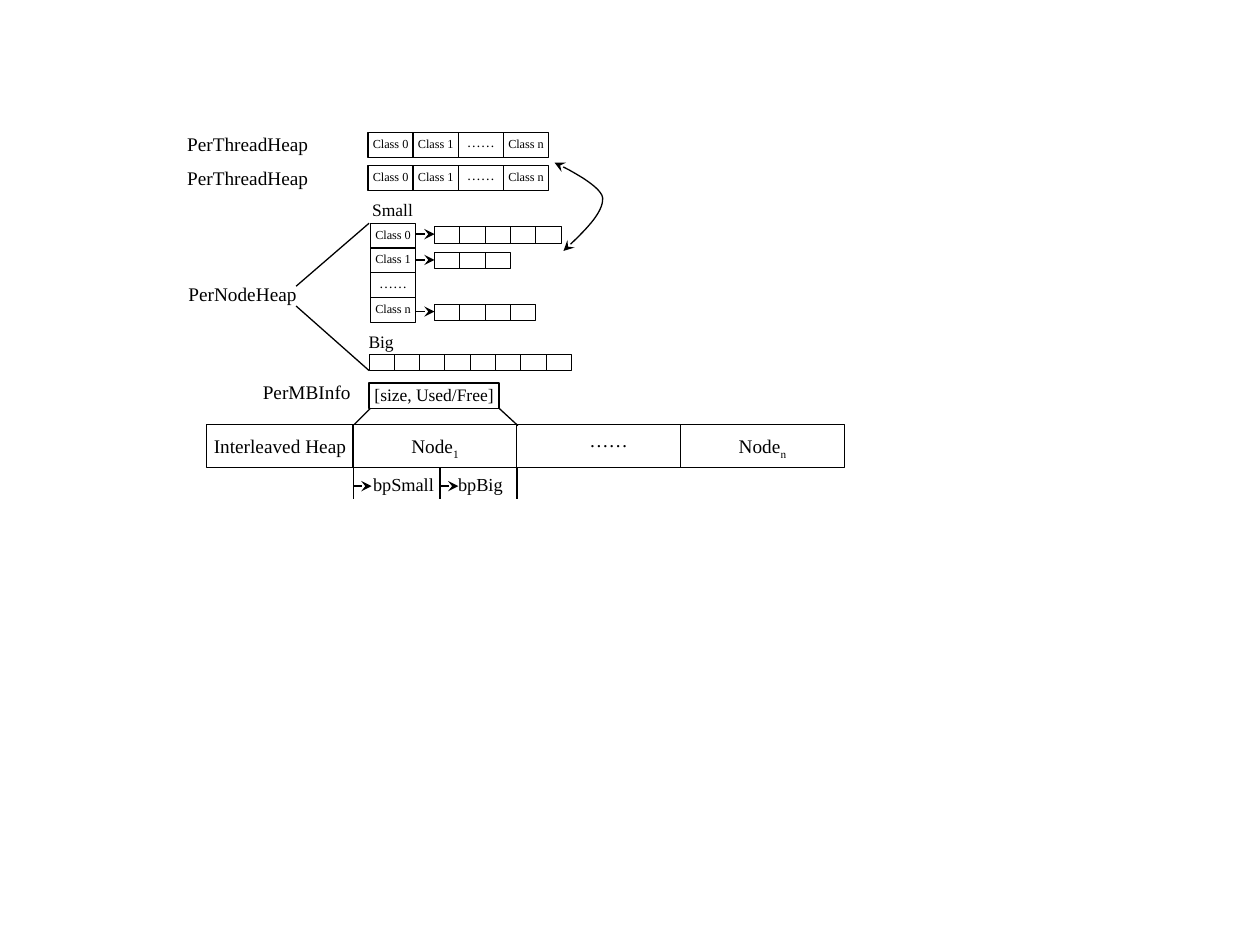
import pptx
import pptx.dml.color
import pptx.enum.shapes
import pptx.enum.text
import pptx.oxml
import pptx.oxml.ns
import pptx.util

Cm = pptx.util.Cm
BLACK, WHITE = "000000", "FFFFFF"
CLASSES = ["Class 0", "Class 1", "……", "Class n"]
BLOCK_WIDTH = 0.51


def paint(target, colour):
    """Give a font, line or fill a solid colour from a hex string."""
    fill = target if hasattr(target, "solid") else target.fill
    fill.solid()
    fill.fore_color.rgb = pptx.dml.color.RGBColor.from_string(colour)


def outline(shape, width=0.75, ends=()):
    """Draw a black line on a shape, with stealth arrowheads at the ends named."""
    paint(shape.line, BLACK)
    shape.line.width = pptx.util.Pt(width)
    stroke = shape._element.spPr.find(pptx.oxml.ns.qn("a:ln"))
    for end in ends:
        namespace = pptx.oxml.ns.nsdecls("a")
        stroke.append(pptx.oxml.parse_xml(f'<a:{end} {namespace} type="stealth"/>'))


def frame(page, left, top, width, height, weight=0.75):
    """Add an unfilled rectangle."""
    box = page.shapes.add_shape(
        pptx.enum.shapes.MSO_SHAPE.RECTANGLE, Cm(left), Cm(top), Cm(width), Cm(height))
    box.shadow.inherit = False
    box.fill.background()
    outline(box, weight)


def line(page, start, end, ends=()):
    """Add a straight line between two points."""
    connector = page.shapes.add_connector(
        pptx.enum.shapes.MSO_CONNECTOR.STRAIGHT, *(Cm(v) for v in (*start, *end)))
    outline(connector, ends=ends)
    connector._element.spPr.append(
        pptx.oxml.parse_xml(f'<a:effectLst {pptx.oxml.ns.nsdecls("a")}/>'))


def label(page, left, top, width, height, text, size, subscript="", backed=False):
    """Add centred text, with an optional subscript and white backing."""
    box = page.shapes.add_textbox(Cm(left), Cm(top), Cm(width), Cm(height))
    if backed:
        paint(box.fill, WHITE)
        paint(box.line, WHITE)
    body = box.text_frame
    body.word_wrap = True
    body.auto_size = pptx.enum.text.MSO_AUTO_SIZE.SHAPE_TO_FIT_TEXT
    body.margin_left = body.margin_right = 0
    para = body.paragraphs[0]
    para.alignment = pptx.enum.text.PP_ALIGN.CENTER
    for words, baseline in ((text, 0), (subscript, -25000)):
        if words:
            span = para.add_run()
            span.text = words
            span.font.name = "Times New Roman"
            span.font.size = pptx.util.Pt(size)
            paint(span.font, BLACK)
            if baseline:
                span._r.get_or_add_rPr().set("baseline", str(baseline))


def class_cells(page, left, top, step_x, step_y):
    """Draw the size class cells in a row or a column."""
    for index, name in enumerate(CLASSES):
        x, y = left + index * step_x, top + index * step_y
        dots = name == "……"
        frame(page, x, y, 0.91, 0.5)
        label(page, x - 0.03, y - (0.1 if dots else 0.05), 0.97, 0.56, name, 8 if dots else 7)


def blocks(page, left, top, count):
    """Draw a run of adjoining memory blocks."""
    for index in range(count):
        frame(page, left + index * BLOCK_WIDTH, top, BLOCK_WIDTH, 0.33, 0.5)


def thread_heap(page, left, top):
    """Draw one thread heap: its name and its row of classes."""
    label(page, left, top - 0.12, 2.67, 0.74, "PerThreadHeap", 11, backed=True)
    class_cells(page, left + 3.76, top, 0.91, 0)


def node_heap(page, left, top):
    """Draw the node heap: name, small class lists and big blocks."""
    lists = left + 3.71
    label(page, left, top + 1.06, 2.26, 0.74, "PerNodeHeap", 11, backed=True)
    for corner, inner in ((0, 1.27), (2.97, 1.67)):
        line(page, (left + 3.68, top + corner), (left + 2.21, top + inner))
    label(page, lists, top - 0.61, 0.89, 0.69, "Small", 10)
    class_cells(page, lists, top, 0, 0.5)
    for row, count in ((0, 5), (1, 3), (3, 4)):
        y = top + 0.22 + 0.52 * row
        line(page, (lists + 0.91, y), (lists + 1.29, y), ["tailEnd"])
        blocks(page, lists + 1.29, y - 0.15, count)
    label(page, lists - 0.23, top + 2.05, 0.89, 0.69, "Big", 10)
    blocks(page, lists - 0.03, top + 2.64, 8)


def exchange_arrow(page, left, top):
    """Draw the curved double arrow between thread and node heaps."""
    curves = [((0.18, 1.78), (0.58, 1.4), (0.99, 1.02), (0.97, 0.71)),
              ((0.97, 0.71), (0.94, 0.43), (0, 0), (0, 0))]
    steps = 16
    points = [curves[0][0]]
    for curve in curves:
        for step in range(1, steps + 1):
            t = step / steps
            weights = ((1 - t) ** 3, 3 * t * (1 - t) ** 2, 3 * t * t * (1 - t), t ** 3)
            points.append(tuple(
                sum(w * p[axis] for w, p in zip(weights, curve)) for axis in (0, 1)))
    places = [(Cm(left + x), Cm(top + y)) for x, y in points]
    builder = page.shapes.build_freeform(*places[0])
    builder.add_line_segments(places[1:], close=False)
    arrow = builder.convert_to_shape()
    arrow.shadow.inherit = False
    arrow.fill.background()
    outline(arrow, ends=["headEnd", "tailEnd"])


def block_info(page, left, top):
    """Draw the per-megabyte record and the lines down to its node."""
    label(page, left - 2.31, top - 0.18, 2.11, 0.74, "PerMBInfo", 11, backed=True)
    frame(page, left, top, 2.62, 0.51)
    label(page, left, top - 0.1, 2.62, 0.69, "[size, Used/Free]", 10)
    line(page, (left + 0.03, top + 0.51), (left - 0.3, top + 0.84))
    line(page, (left + 2.62, top + 0.51), (left + 3, top + 0.86))


def interleaved_heap(page, left, top):
    """Draw the heap strip with its nodes and bump pointers."""
    first, node, height = 2.95, 3.3, 0.86
    parts = [("Interleaved Heap", "", first, 0, 0.08), ("Node", "1", node, 0, 0.08),
             ("……", "", node, 0.2, -0.05), ("Node", "n", node, 0, 0.08)]
    x = left
    for text, subscript, width, shift, drop in parts:
        label(page, x + shift, top + drop, width, 0.74, text, 11, subscript)
        frame(page, x, top, width, height)
        x += width
    start = left + first
    for offset in (0, 1.75, node):
        line(page, (start + offset, top + 0.88), (start + offset, top + 1.5))
    for offset, name, gap in ((0, "bpSmall", 0.33), (1.75, "bpBig", 0.13)):
        x, y = start + offset, top + 1.24
        line(page, (x, y), (x + 0.37, y), ["tailEnd"])
        label(page, x + gap, top + 0.86, 1.37, 0.74, name, 10.5)


deck = pptx.Presentation()
deck.slide_width, deck.slide_height = Cm(25.4), Cm(19.05)
page = deck.slides.add_slide(deck.slide_layouts[6])
for heap_top in (2.67, 3.34):
    thread_heap(page, 3.66, heap_top)
node_heap(page, 3.76, 4.5)
exchange_arrow(page, 11.18, 3.28)
block_info(page, 7.44, 7.72)
interleaved_heap(page, 4.17, 8.56)
deck.save("out.pptx")
